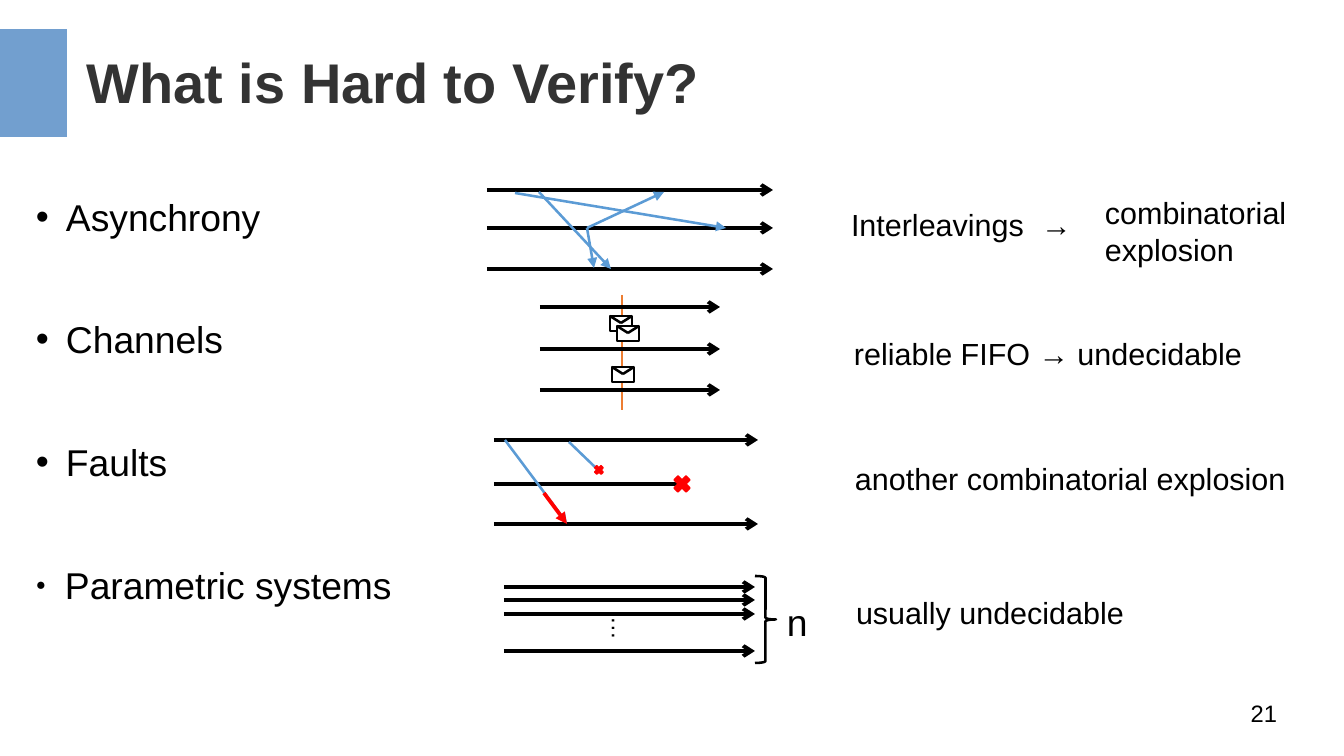
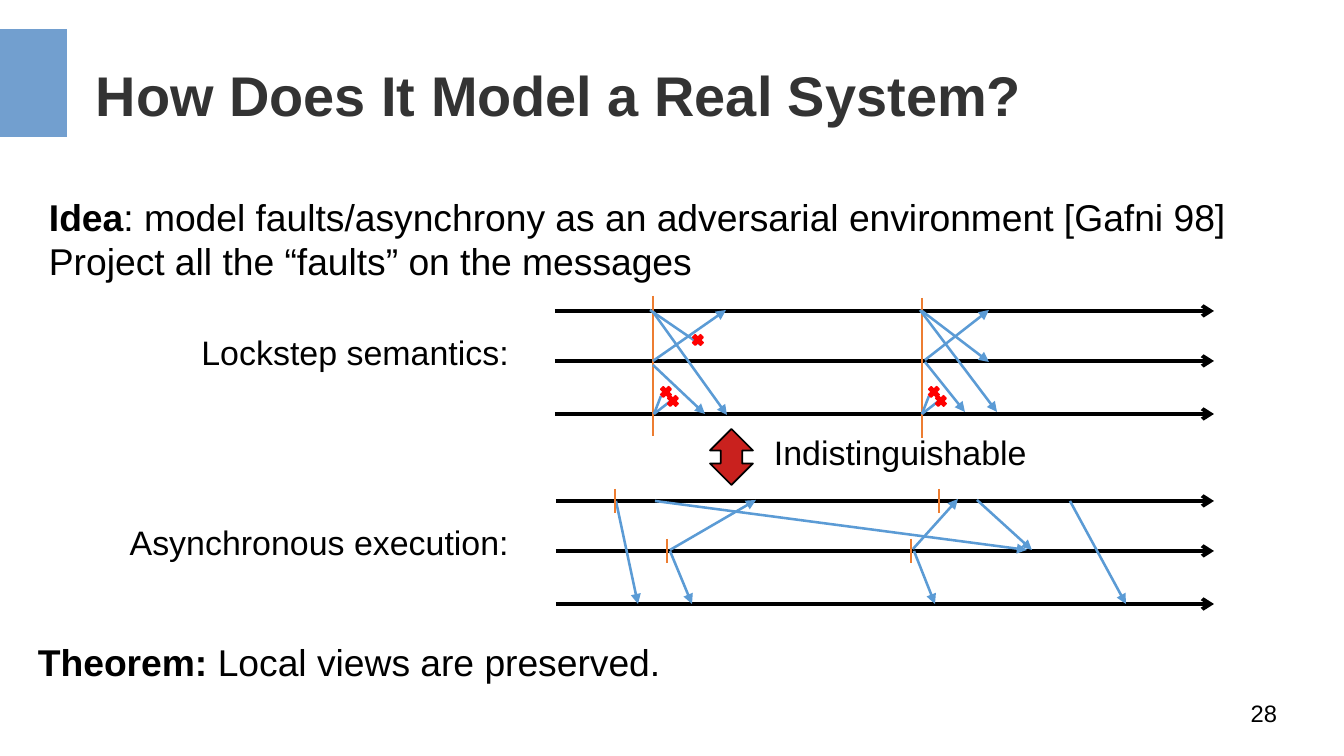
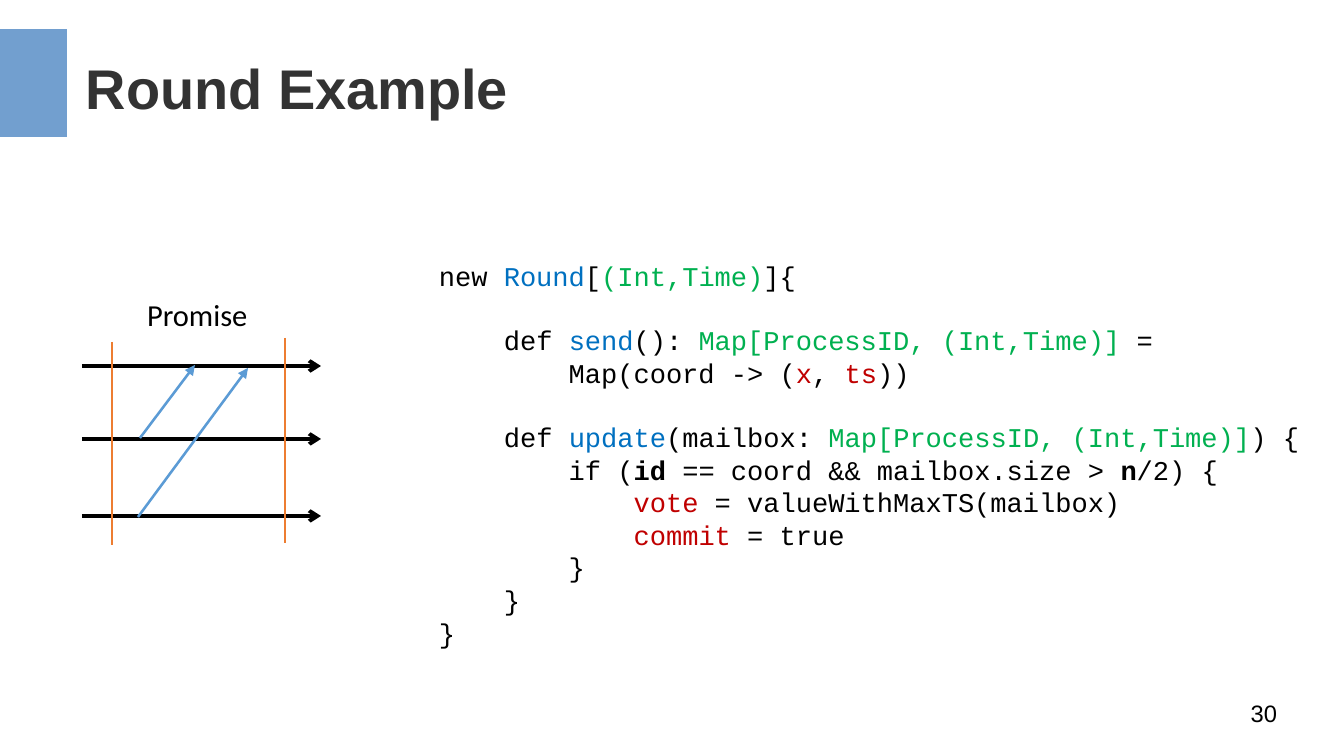
from dataclasses import dataclass

from lxml.etree import SubElement
from pptx import Presentation
from pptx.dml.color import RGBColor
from pptx.enum.shapes import MSO_CONNECTOR, MSO_SHAPE
from pptx.enum.text import MSO_ANCHOR, PP_ALIGN
from pptx.oxml.ns import qn
from pptx.util import Pt

UNIT = 914400 / 122


def px(n):
    return round(n * UNIT)


def rgb(code):
    return RGBColor.from_string(code)


@dataclass(frozen=True)
class Theme:
    sans: str = "Arial"
    hand: str = "Calibri"
    mono: str = "Courier New"
    ink: str = "000000"
    head: str = "333333"
    band: str = "729FCF"
    blue: str = "5B9BD5"
    rust: str = "ED7D31"
    red: str = "FF0000"
    brick: str = "C9211E"
    white: str = "FFFFFF"
    name: str = "0070C0"
    kind: str = "00B050"
    state: str = "C00000"
    title: int = 33
    body: int = 22
    label: int = 20
    note: int = 18
    code: int = 16
    small: int = 14


T = Theme()

# colour, width in points, arrowhead
LINES = {
    "lane": (T.ink, 2.25, "arrow"),
    "dead": (T.ink, 2.25, None),
    "send": (T.blue, 1.5, "triangle"),
    "lost": (T.blue, 1.5, None),
    "bad": (T.red, 2.25, "triangle"),
    "cut": (T.rust, 1.5, None),
    "flap": (T.ink, 1.5, None),
}


class Pen:
    """Draws on one slide, in px from a given corner."""

    def __init__(self, slide, x=0, y=0):
        self.slide, self.x, self.y = slide, x, y

    def at(self, x, y):
        return Pen(self.slide, self.x + x, self.y + y)

    def spot(self, x, y):
        return px(self.x + x), px(self.y + y)

    def lines(self, style, *ends):
        tone, width, tip = LINES[style]
        for x1, y1, x2, y2 in ends:
            link = self.slide.shapes.add_connector(
                MSO_CONNECTOR.STRAIGHT, *self.spot(x1, y1), *self.spot(x2, y2))
            link.line.color.rgb = rgb(tone)
            link.line.width = Pt(width)
            if tip:
                SubElement(link.line._get_or_add_ln(), qn("a:tailEnd"), type=tip)
            SubElement(link._element.spPr, qn("a:effectLst"))

    def lanes(self, width, *rows):
        self.lines("lane", *((0, y, width, y) for y in rows))

    def shape(self, form, x, y, w, h, fill=None, line=None, width=1):
        item = self.slide.shapes.add_shape(form, *self.spot(x, y), px(w), px(h))
        item.shadow.inherit = False
        if fill:
            item.fill.solid()
            item.fill.fore_color.rgb = rgb(fill)
        else:
            item.fill.background()
        if line:
            item.line.color.rgb = rgb(line)
            item.line.width = Pt(width)
        else:
            item.line.fill.background()
        return item

    def cross(self, x, y, size):
        """Puts a red cross with its centre at x, y."""
        self.shape(MSO_SHAPE.MATH_MULTIPLY, x - size / 2, y - size / 2,
                   size, size, T.red, T.red)

    def text(self, box, paras, size, face=T.sans, tone=T.ink, bold=False,
             align=PP_ALIGN.LEFT, anchor=MSO_ANCHOR.TOP, pad=(12, 6), wrap=True):
        """Each paragraph is a string or a list of (words, font format)."""
        x, y, w, h = box
        item = self.slide.shapes.add_textbox(*self.spot(x, y), px(w), px(h))
        frame = item.text_frame
        side, edge = map(px, pad)
        look = {"word_wrap": wrap, "vertical_anchor": anchor,
                "margin_left": side, "margin_right": side,
                "margin_top": edge, "margin_bottom": edge}
        for key, val in look.items():
            setattr(frame, key, val)
        for i, runs in enumerate(paras):
            para = frame.add_paragraph() if i else frame.paragraphs[0]
            para.alignment = align
            for words, form in [(runs, {})] if isinstance(runs, str) else runs:
                run = para.add_run()
                run.text = words
                form = {"name": face, "size": Pt(size), "bold": bold,
                        "tone": tone} | form
                run.font.color.rgb = rgb(form.pop("tone"))
                for key, val in form.items():
                    setattr(run.font, key, val)
        return item


def start(deck, title, page, x, y):
    """Adds a slide with band, title and page number."""
    pen = Pen(deck.slides.add_slide(deck.slide_layouts[6]))
    pen.shape(MSO_SHAPE.RECTANGLE, 0, 29, 67, 108, T.band)
    pen.text((x, y, 1200, 127), [title], T.title, tone=T.head, bold=True,
             anchor=MSO_ANCHOR.MIDDLE, pad=(0, 0))
    pen.text((964, 699, 313, 52), [page], T.small, align=PP_ALIGN.RIGHT,
             pad=(0, 0))
    return pen


def topics(pen, words):
    item = pen.text((0, 0, 415, 509), words, T.body)
    paras = item.text_frame.paragraphs
    for i, para in enumerate(paras):
        last = i == len(paras) - 1
        inset = px(29 if last else 30)
        if i:
            para.space_before = Pt(46)
        props = para._p.get_or_add_pPr()
        props.set("marL", str(inset))
        props.set("indent", str(-inset))
        if last:
            SubElement(props, qn("a:buSzPct"), val="45000")
        SubElement(props, qn("a:buFont"), typeface=T.sans)
        SubElement(props, qn("a:buChar"), char="●" if last else "•")


def weave(pen):
    """Messages that overtake one another."""
    pen.lanes(286, 0, 38, 79)
    pen.lines("send", (52, 2, 124, 79), (28, 3, 239, 38),
              (100, 38, 107, 78), (100, 38, 177, 2))


def mail(pen):
    pen.shape(MSO_SHAPE.RECTANGLE, 0, 0, 22, 15, T.white, T.ink, 1.5)
    pen.lines("flap", (0, 0, 11, 7), (11, 7, 22, 0))


def queues(pen):
    pen.lines("cut", (82, 0, 82, 115))
    pen.lanes(180, 12, 54, 95)
    for x, y in ((70, 21), (77, 31), (72, 72)):
        mail(pen.at(x, y))


def faults(pen):
    pen.lanes(264, 0, 84)
    pen.lines("dead", (0, 44, 188, 44))
    pen.cross(188, 44, 23)
    pen.lines("lost", (75, 2, 101, 27))
    pen.cross(105, 30, 12)
    pen.lines("send", (11, 0, 73, 83))
    pen.lines("bad", (50, 53, 73, 84))


def many(pen):
    """Any number n of processes."""
    pen.lanes(251, 11, 24, 38, 75)
    pen.shape(MSO_SHAPE.RIGHT_BRACE, 251, 0, 21, 87, line=T.ink, width=1.5)
    dots = pen.text((100, 35, 44, 31), ["…"], T.small, wrap=False)
    dots.rotation = 90
    pen.text((271, 17, 45, 57), ["n"], T.body, wrap=False)


def notes(pen):
    first = pen.text((0, 12, 250, 46), ["Interleavings\t→"], T.note)
    props = first.text_frame.paragraphs[0]._p.get_or_add_pPr()
    stops = SubElement(props, qn("a:tabLst"))
    SubElement(stops, qn("a:tab"), pos=str(px(190)), algn="l")
    pen.text((254, 0, 220, 81), ["combinatorial", "explosion"], T.note)
    for x, y, words in ((3, 141, "reliable FIFO → undecidable"),
                        (4, 266, "another combinatorial explosion"),
                        (5, 400, "usually undecidable")):
        pen.text((x, y, 480, 46), [words], T.note)


def rounds(pen):
    """Two lockstep rounds."""
    pen.lanes(659, 15, 65, 118)
    pen.lines("cut", (98, 0, 98, 140), (367, 2, 367, 142))
    pen.lines("send", (98, 16, 172, 119), (98, 65, 171, 14),
              (98, 69, 150, 118), (365, 14, 442, 116),
              (370, 64, 434, 14), (370, 66, 410, 116), (367, 15, 434, 66))
    pen.lines("lost", (95, 14, 146, 49))
    pen.cross(143, 44, 15)
    for x in (99, 367):
        drop = pen.at(x, 118)
        drop.lines("lost", (0, 0, 7, -18), (0, 0, 18, -14))
        drop.cross(19, -13, 15)
        drop.cross(12, -22, 15)


def drift(pen):
    """The same rounds, run asynchronously."""
    pen.lanes(658, 13, 63, 116)
    pen.lines("send", (60, 13, 82, 116), (99, 13, 471, 62),
              (114, 63, 136, 116), (114, 62, 200, 12),
              (358, 63, 379, 116), (357, 61, 402, 11),
              (421, 12, 476, 62), (514, 13, 570, 116))
    pen.lines("cut", *((x, y, x, y + 24) for x, y in
                       ((59, 1), (111, 51), (383, 1), (355, 51))))


def promise(pen):
    pen.text((53, 0, 130, 49), ["Promise"], T.note, T.hand)
    pen.lanes(239, 76, 149, 226)
    pen.lines("send", (58, 148, 113, 75), (56, 227, 166, 78))
    pen.lines("cut", (30, 52, 30, 255), (203, 48, 203, 253))


def code(pen):
    name, kind, state = ({"tone": c} for c in (T.name, T.kind, T.state))
    bold, dull = {"bold": True}, {}
    table = ("Map[ProcessID, (Int,Time)]", kind)
    rows = [
        [("new ", dull), ("Round", name), ("[", dull), ("(Int,Time)", kind),
         ("]{", dull)],
        [("    def ", dull), ("send", name), ("(): ", dull), table, (" =", dull)],
        [("        Map(coord -> (", dull), ("x", state), (", ", dull),
         ("ts", state), ("))", dull)],
        [("    def ", dull), ("update", name), ("(mailbox: ", dull), table,
         (") {", dull)],
        [("        if (", dull), ("id", bold),
         (" == coord && mailbox.size > ", dull), ("n", bold), ("/2) {", dull)],
        [("            ", dull), ("vote", state),
         (" = valueWithMaxTS(mailbox)", dull)],
        [("            ", dull), ("commit", state), (" = true", dull)],
        "        }", "    }", "}"]
    item = pen.text((0, 0, 891, 403), rows, T.code, T.mono)
    for i in (1, 3):
        item.text_frame.paragraphs[i].space_before = Pt(19)


def hard(deck):
    pen = start(deck, "What is Hard to Verify?", "21", 87, 18)
    topics(pen.at(24, 188),
           ["Asynchrony", "Channels", "Faults", "Parametric systems"])
    for draw, x, y in ((weave, 487, 190), (many, 504, 576),
                       (faults, 494, 440), (queues, 540, 295),
                       (notes, 839, 188)):
        draw(pen.at(x, y))


def model(deck):
    pen = start(deck, "How Does It Model a Real System?", "28", 96, 31)
    bold = {"bold": True}
    pen.text((37, 188, 1220, 95), [
        [("Idea", bold),
         (": model faults/asynchrony as an adversarial environment [Gafni 98]", {})],
        "Project all the “faults” on the messages"], T.body)
    for y, words in ((326, "Lockstep semantics:"),
                     (516, "Asynchronous execution:")):
        pen.text((100, y, 421, 52), [words], T.label, align=PP_ALIGN.RIGHT)
    rounds(pen.at(555, 296))
    drift(pen.at(556, 488))
    pen.shape(MSO_SHAPE.UP_DOWN_ARROW, 710, 429, 43, 56, T.brick, T.ink)
    pen.text((762, 426, 300, 52), ["Indistinguishable"], T.label)
    pen.text((26, 633, 700, 57),
             [[("Theorem: ", bold), ("Local views are preserved.", {})]], T.body)


def sample(deck):
    pen = start(deck, "Round Example", "30", 86, 24)
    promise(pen.at(82, 290))
    code(pen.at(427, 253))


def main():
    deck = Presentation()
    deck.slide_width, deck.slide_height = px(1344), px(756)
    for build in (hard, model, sample):
        build(deck)
    deck.save("out.pptx")


if __name__ == "__main__":
    main()
